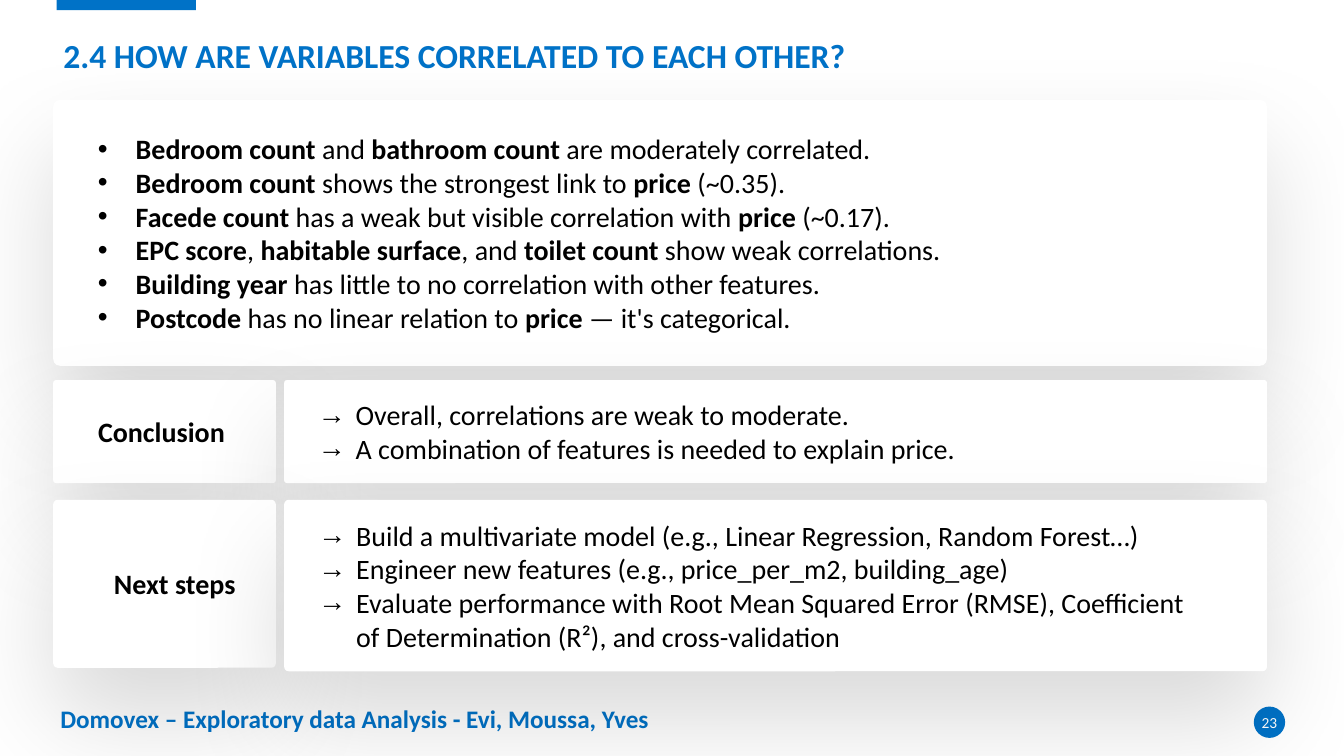
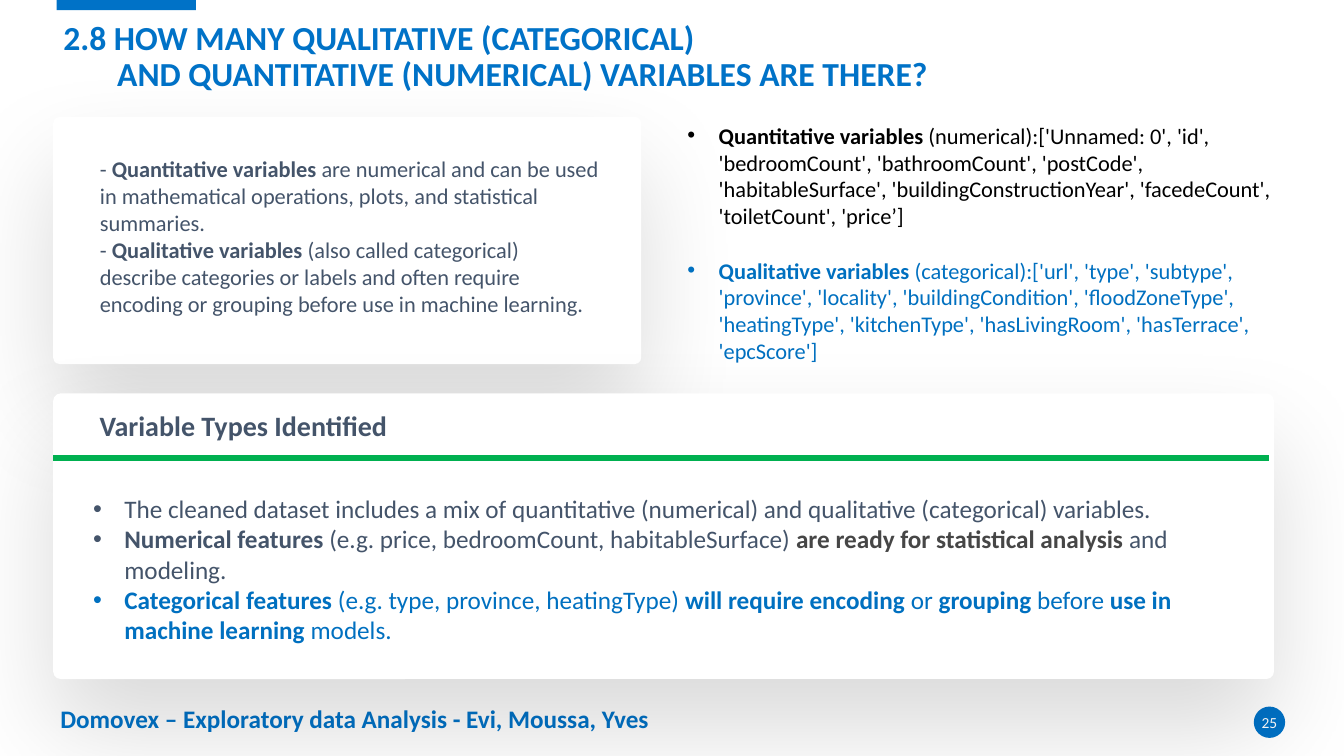
from dataclasses import dataclass

from lxml import etree
from pptx import Presentation
from pptx.dml.color import RGBColor
from pptx.enum.shapes import MSO_CONNECTOR, MSO_SHAPE
from pptx.enum.text import MSO_ANCHOR, MSO_AUTO_SIZE, PP_ALIGN
from pptx.oxml.ns import qn
from pptx.util import Pt

RECTANGLE = MSO_SHAPE.RECTANGLE
ROUNDED = MSO_SHAPE.ROUNDED_RECTANGLE
OVAL = MSO_SHAPE.OVAL
STRAIGHT = MSO_CONNECTOR.STRAIGHT
TOP, MIDDLE = MSO_ANCHOR.TOP, MSO_ANCHOR.MIDDLE
LEFT, CENTER = PP_ALIGN.LEFT, PP_ALIGN.CENTER
NO_AUTOFIT = MSO_AUTO_SIZE.NONE


@dataclass(frozen=True)
class Theme:
    font: str = "Calibri"
    blue: RGBColor = RGBColor(0x00, 0x72, 0xC7)
    accent: RGBColor = RGBColor(0x00, 0x70, 0xC0)
    green: RGBColor = RGBColor(0x00, 0xB0, 0x50)
    slate: RGBColor = RGBColor(0x44, 0x54, 0x6A)
    charcoal: RGBColor = RGBColor(0x46, 0x46, 0x46)
    black: RGBColor = RGBColor(0, 0, 0)
    white: RGBColor = RGBColor(0xFF, 0xFF, 0xFF)
    title: int = 24
    large: int = 20
    medium: int = 18
    small: int = 16
    number: int = 11


@dataclass(frozen=True)
class Box:
    left: float
    top: float
    width: float
    height: float

    def lengths(self):
        return [Pt(value) for value in (self.left, self.top, self.width, self.height)]


THEME = Theme()
FOOTER = "Domovex – Exploratory data Analysis - Evi, Moussa, Yves"
MARGIN = 38
DEFAULT_INSETS = (7.2, 3.6, 7.2, 3.6)


def set_frame(frame, insets=DEFAULT_INSETS, anchor=TOP):
    frame.word_wrap = True
    frame.auto_size = NO_AUTOFIT
    frame.vertical_anchor = anchor
    left, top, right, bottom = insets
    frame.margin_left, frame.margin_top = Pt(left), Pt(top)
    frame.margin_right, frame.margin_bottom = Pt(right), Pt(bottom)


def set_indent(paragraph, hang):
    properties = paragraph._p.get_or_add_pPr()
    properties.set("marL", str(Pt(hang)))
    properties.set("indent", str(-Pt(hang)))
    return properties


def write(frame, items, size, color, bold=None, bullet=None, hang=0, align=LEFT):
    for index, item in enumerate(items):
        paragraph = frame.add_paragraph() if index else frame.paragraphs[0]
        if bullet:
            properties = set_indent(paragraph, hang)
            etree.SubElement(properties, qn("a:buFont"), typeface="Arial")
            etree.SubElement(properties, qn("a:buChar"), char=bullet)
        paragraph.alignment = align
        paragraph.font.name = THEME.font
        paragraph.font.size = Pt(size)
        paragraph.font.color.rgb = color
        paragraph.font.bold = bold
        for position, piece in enumerate(item.split("**")):
            if piece:
                run = paragraph.add_run()
                run.text = piece
                if position % 2:
                    run.font.bold = True


def add_text(slide, box, items, size, color, **style):
    shape = slide.shapes.add_textbox(*box.lengths())
    set_frame(shape.text_frame)
    write(shape.text_frame, items, size, color, **style)
    return shape


def add_filled(slide, kind, box, color):
    shape = slide.shapes.add_shape(kind, *box.lengths())
    shape.fill.solid()
    shape.fill.fore_color.rgb = color
    shape.line.fill.background()
    shape.shadow.inherit = False
    return shape


def add_card(slide, box, items, size, color, insets, anchor=MIDDLE, **style):
    card = add_filled(slide, ROUNDED, box, THEME.white)
    card.adjustments[0] = 0.026
    effects = card._element.spPr.find(qn("a:effectLst"))
    shadow = etree.SubElement(
        effects, qn("a:outerShdw"), blurRad=str(Pt(75)), dist=str(Pt(35)),
        dir="5400000", algn="t", rotWithShape="0")
    shade = etree.SubElement(shadow, qn("a:srgbClr"), val=str(THEME.black))
    etree.SubElement(shade, qn("a:alpha"), val="15000")
    set_frame(card.text_frame, insets, anchor)
    write(card.text_frame, items, size, color, **style)
    return card


def add_slide(presentation, title, number):
    slide = presentation.slides.add_slide(presentation.slide_layouts[5])
    placeholder = slide.shapes.title
    placeholder.left, placeholder.top, placeholder.width, placeholder.height = Box(
        MARGIN, 11.4, 884, 60).lengths()
    set_frame(placeholder.text_frame, anchor=MIDDLE)
    placeholder.text_frame.text = title
    paragraph = placeholder.text_frame.paragraphs[0]
    set_indent(paragraph, 38.5)
    paragraph.alignment = LEFT
    paragraph.line_spacing = 0.9
    paragraph.font.name = THEME.font
    paragraph.font.size = Pt(THEME.title)
    paragraph.font.bold = True
    paragraph.font.color.rgb = THEME.blue

    add_filled(slide, RECTANGLE, Box(40.5, 0, 99.5, 7.2), THEME.blue)
    add_text(slide, Box(36, 499, 570, 29), [FOOTER], THEME.medium, THEME.blue, bold=True)
    badge = add_filled(slide, OVAL, Box(895.6, 504.7, 22.4, 22.4), THEME.blue)
    set_frame(badge.text_frame, (0, 0, 0, 0), MIDDLE)
    badge.text_frame.word_wrap = False
    write(badge.text_frame, [str(number)], THEME.number, THEME.white, align=CENTER)
    return slide


def add_labelled_row(slide, box, label, items, label_inset, label_height):
    label_width, gap = 159, 6
    add_card(slide, Box(box.left, box.top, label_width, label_height), [label],
             THEME.large, THEME.black, (label_inset, 0, 0, 0), bold=True)
    offset = label_width + gap
    add_card(slide, Box(box.left + offset, box.top, box.width - offset, box.height),
             items, THEME.large, THEME.black, (23.5, 0, 46, 0), bullet="→", hang=27)


def add_type_summary(slide, box, heading, items):
    card = add_card(slide, box, items, THEME.medium, THEME.slate, (27, 70, 44, 0),
                    TOP, bullet="•", hang=22.3)
    numerical, categorical = card.text_frame.paragraphs[1:]
    numerical.runs[2].font.color.rgb = THEME.charcoal
    categorical.font.color.rgb = THEME.accent
    rule_top = Pt(box.top + 46)
    rule = slide.shapes.add_connector(
        STRAIGHT, Pt(box.left), rule_top, Pt(box.left + box.width - 3.5), rule_top)
    rule.line.color.rgb = THEME.green
    rule.line.width = Pt(4)
    etree.SubElement(rule._element.spPr, qn("a:effectLst"))
    add_text(slide, Box(box.left + 26, box.top + 7.2, 267, 32), [heading],
             THEME.large, THEME.slate, bold=True)


def add_variable_lists(slide, box, items):
    shape = add_text(slide, box, items, THEME.small, THEME.black, bullet="•", hang=22.3)
    categorical = shape.text_frame.paragraphs[1]
    categorical.space_before = Pt(19.5)
    categorical.font.color.rgb = THEME.accent


def build_correlation_slide(presentation):
    slide = add_slide(presentation, "2.4 HOW ARE VARIABLES CORRELATED TO EACH OTHER?", 23)
    width = 867
    add_card(slide, Box(MARGIN, 71.3, width, 190), [
        "**Bedroom count** and **bathroom count** are moderately correlated.",
        "**Bedroom count** shows the strongest link to **price** (~0.35).",
        "**Facede count** has a weak but visible correlation with **price** (~0.17).",
        "**EPC score**, **habitable surface**, and **toilet count** show weak correlations.",
        "**Building year** has little to no correlation with other features.",
        "**Postcode** has no linear relation to **price** — it's categorical.",
    ], THEME.large, THEME.black, (30.5, 0, 101, 0), bullet="•", hang=27)
    add_labelled_row(slide, Box(MARGIN, 271.5, width, 73.5), "Conclusion", [
        "Overall, correlations are weak to moderate.",
        "A combination of features is needed to explain price.",
    ], 31.5, 73.5)
    add_labelled_row(slide, Box(MARGIN, 357, width, 122.5), "Next steps", [
        "Build a multivariate model (e.g., Linear Regression, Random Forest…)",
        "Engineer new features (e.g., price_per_m2, building_age)",
        "Evaluate performance with Root Mean Squared Error (RMSE), Coefficient of "
        "Determination (R²), and cross-validation",
    ], 42.5, 120)


def build_variable_types_slide(presentation):
    slide = add_slide(
        presentation,
        "2.8 HOW MANY QUALITATIVE (CATEGORICAL)\v"
        "AND QUANTITATIVE (NUMERICAL) VARIABLES ARE THERE?", 25)
    add_card(slide, Box(MARGIN, 83.5, 420, 176.5), [
        "- **Quantitative variables** are numerical and can be used in mathematical "
        "operations, plots, and statistical summaries.",
        "- **Qualitative variables** (also called categorical) describe categories or "
        "labels and often require encoding or grouping before use in machine learning.",
    ], THEME.small, THEME.slate, (32, 0, 28.5, 6.5))
    add_variable_lists(slide, Box(484, 83.5, 438.5, 181.5), [
        "**Quantitative variables **(numerical):['Unnamed: 0', 'id', 'bedroomCount', "
        "'bathroomCount', 'postCode', 'habitableSurface', 'buildingConstructionYear', "
        "'facedeCount', 'toiletCount', 'price’]",
        "**Qualitative variables **(categorical):['url', 'type', 'subtype', 'province', "
        "'locality', 'buildingCondition', 'floodZoneType', 'heatingType', 'kitchenType', "
        "'hasLivingRoom', 'hasTerrace', 'epcScore']",
    ])
    add_type_summary(slide, Box(MARGIN, 281, 872, 204), "Variable Types Identified", [
        "The cleaned dataset includes a mix of quantitative (numerical) and qualitative "
        "(categorical) variables.",
        "**Numerical features **(e.g. price, bedroomCount, habitableSurface) "
        "**are ready for statistical analysis **and modeling.",
        "**Categorical features **(e.g. type, province, heatingType) "
        "**will require encoding **or **grouping **before "
        "**use in machine learning **models.",
    ])


def main():
    presentation = Presentation()
    presentation.slide_width, presentation.slide_height = Pt(960), Pt(540)
    build_correlation_slide(presentation)
    build_variable_types_slide(presentation)
    presentation.save("out.pptx")


if __name__ == "__main__":
    main()
